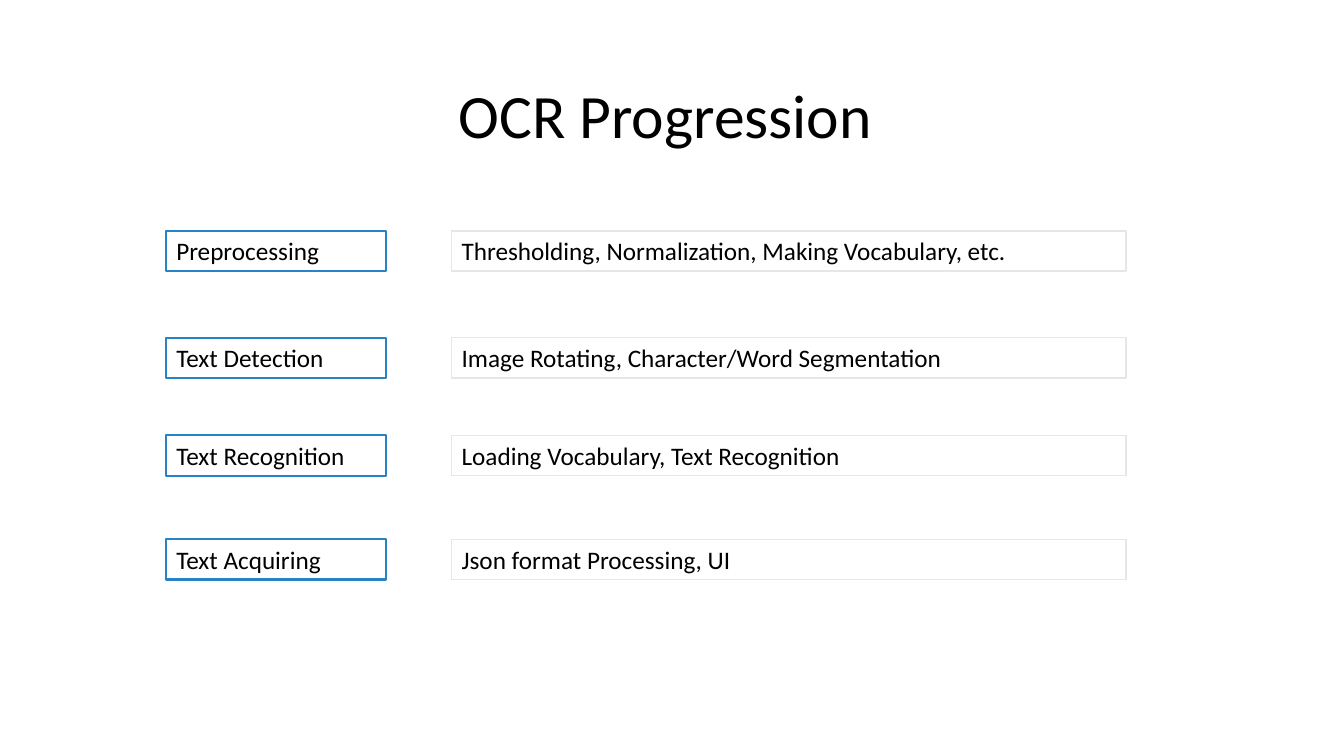
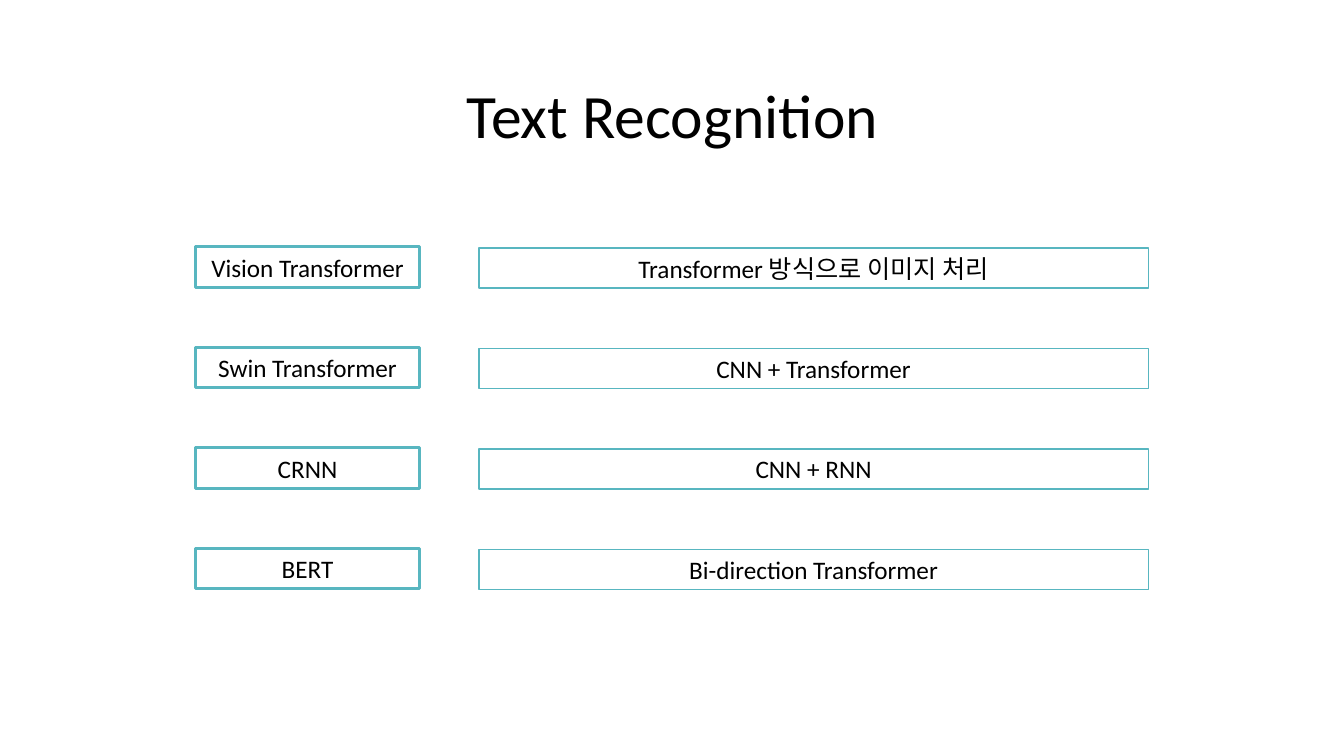
import pptx
import pptx.dml.color
import pptx.enum.shapes
import pptx.enum.text
import pptx.util

Inches = pptx.util.Inches
Align = pptx.enum.text.PP_ALIGN
Anchor = pptx.enum.text.MSO_ANCHOR
AutoSize = pptx.enum.text.MSO_AUTO_SIZE
RGBColor = pptx.dml.color.RGBColor

BLACK = RGBColor(0x00, 0x00, 0x00)
WHITE = RGBColor(0xFF, 0xFF, 0xFF)
BLUE = RGBColor(0x26, 0x83, 0xC6)
GREY = RGBColor(0xE6, 0xE6, 0xE6)
TEAL = RGBColor(0x58, 0xB6, 0xC0)
FONT = "Calibri"
ROW_HEIGHT = 0.4

PROGRESSION = [
    ("Preprocessing", "Thresholding, Normalization, Making Vocabulary, etc."),
    ("Text Detection", "Image Rotating, Character/Word Segmentation"),
    ("Text Recognition", "Loading Vocabulary, Text Recognition"),
    ("Text Acquiring", "Json format Processing, UI"),
]
MODELS = [
    ("Vision Transformer", "Transformer 방식으로 이미지 처리"),
    ("Swin Transformer", "CNN + Transformer"),
    ("CRNN", "CNN + RNN"),
    ("BERT", "Bi-direction Transformer"),
]


def write(frame, text, size=18, align=Align.LEFT, anchor=Anchor.TOP,
          autosize=AutoSize.SHAPE_TO_FIT_TEXT):
    """Put formatted text into a text frame."""
    frame.word_wrap = True
    frame.auto_size = autosize
    frame.vertical_anchor = anchor
    paragraph = frame.paragraphs[0]
    paragraph.alignment = align
    run = paragraph.add_run()
    run.text = text
    run.font.name = FONT
    run.font.size = pptx.util.Pt(size)
    run.font.color.rgb = BLACK


def add_titled_slide(deck, heading):
    """Add a slide with the shared title style."""
    slide = deck.slides.add_slide(deck.slide_layouts[5])
    title = slide.shapes.title
    title.left, title.top = Inches(0.92), Inches(0.4)
    title.width, title.height = Inches(11.5), Inches(1.45)
    write(title.text_frame, heading, size=44, align=Align.CENTER,
          anchor=Anchor.MIDDLE, autosize=AutoSize.NONE)
    return slide


def add_cell(slide, text, left, top, width, outline, weight, align):
    """Draw one white outlined box with its text."""
    cell = slide.shapes.add_shape(
        pptx.enum.shapes.MSO_SHAPE.RECTANGLE,
        Inches(left), Inches(top), Inches(width), Inches(ROW_HEIGHT))
    cell.shadow.inherit = False
    cell.fill.solid()
    cell.fill.fore_color.rgb = WHITE
    cell.line.color.rgb = outline
    cell.line.width = pptx.util.Pt(weight)
    write(cell.text_frame, text, align=align)


def add_pairs(slide, pairs, box, offsets, label_width, gap, label_line,
              detail_line, drop=0, align=Align.LEFT):
    """Place rows of label and detail inside a left, top, width box."""
    left, top, width = box
    detail_left = left + label_width + gap
    detail_width = width - label_width - gap
    for (label, detail), offset in zip(pairs, offsets):
        add_cell(slide, label, left, top + offset, label_width,
                 *label_line, align)
        add_cell(slide, detail, detail_left, top + offset + drop,
                 detail_width, *detail_line, align)


def build_progression(deck):
    """Build the slide on the stages of OCR."""
    slide = add_titled_slide(deck, "OCR Progression ")
    add_pairs(slide, PROGRESSION, box=(1.65, 2.29, 9.52),
              offsets=(0, 1.06, 2.03, 3.06), label_width=2.18, gap=0.65,
              label_line=(BLUE, 1.5), detail_line=(GREY, 1))


def build_models(deck):
    """Build the slide on the recognition models."""
    slide = add_titled_slide(deck, "Text Recognition")
    pitch = 2.99 / (len(MODELS) - 1)
    add_pairs(slide, MODELS, box=(1.94, 2.45, 9.45),
              offsets=[row * pitch for row in range(len(MODELS))],
              label_width=2.22, gap=0.59, label_line=(TEAL, 2.25),
              detail_line=(TEAL, 1), drop=0.01, align=Align.CENTER)


def main():
    """Build and save the presentation."""
    deck = pptx.Presentation()
    deck.slide_width, deck.slide_height = Inches(13.33), Inches(7.5)
    build_progression(deck)
    build_models(deck)
    deck.save("out.pptx")


if __name__ == "__main__":
    main()
